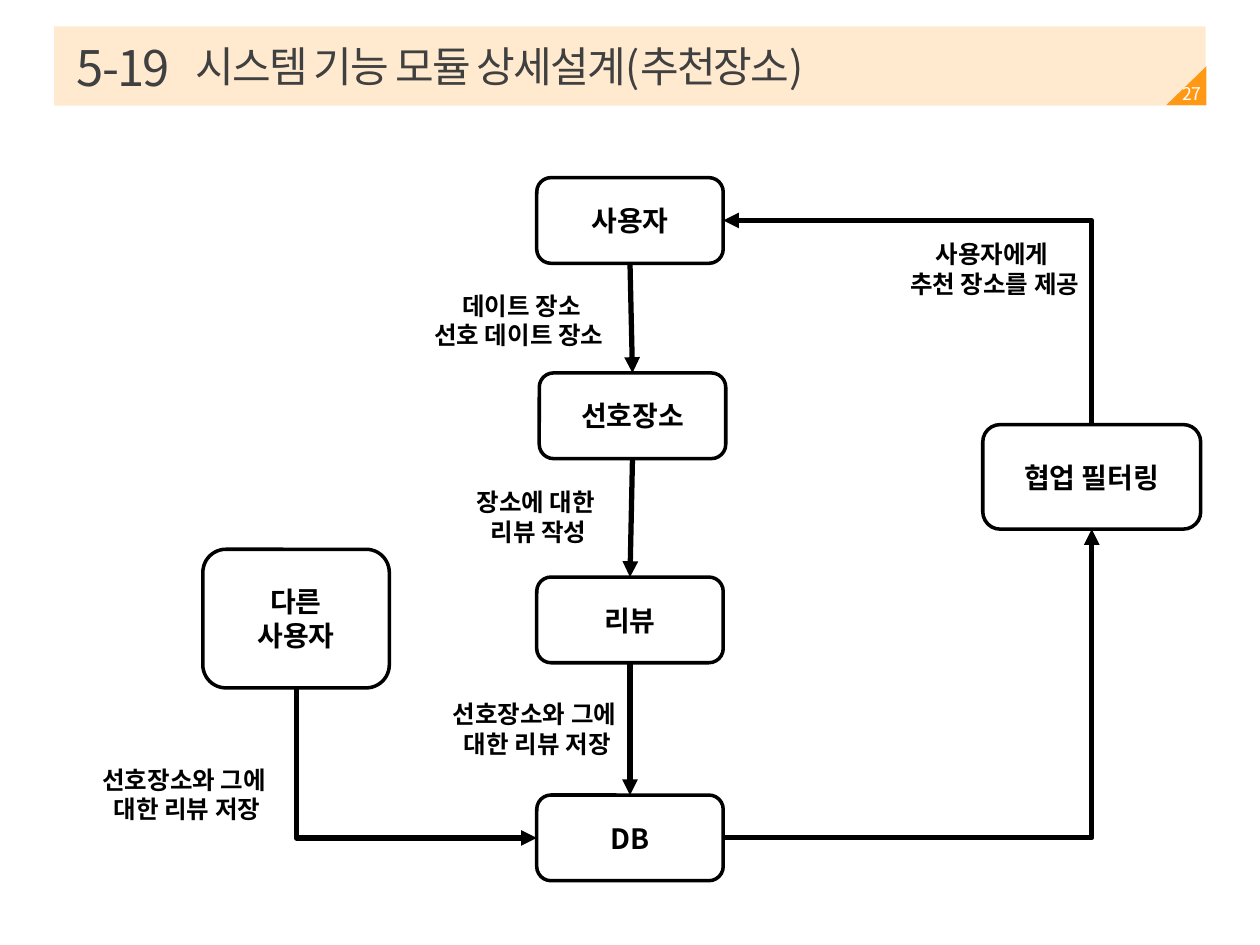
from lxml.etree import SubElement
from pptx import Presentation
from pptx.dml.color import RGBColor
from pptx.enum.shapes import MSO_CONNECTOR, MSO_SHAPE
from pptx.enum.text import MSO_ANCHOR, MSO_AUTO_SIZE, PP_ALIGN
from pptx.oxml.ns import qn
from pptx.util import Inches, Pt

COLORS = {"accent": "FF9915", "heading": "404040", "ink": "000000", "paper": "FFFFFF"}
FONT = "Noto Sans CJK KR"
COLUMNS, ROWS = 100, 75
CELL = Inches(10) / COLUMNS
TOP, LEFT, BOTTOM, RIGHT = range(4)

# Boxes are left, top, width, height in grid cells.
HEADER = (4.3, 2.1, 91.4, 6.3)
STEPS = {
    "user": ("사용자", (42.6, 14.1, 14.8, 6.8)),
    "favorite": ("선호장소", (42.8, 29.6, 14.8, 6.8)),
    "review": ("리뷰", (42.6, 45.8, 14.8, 6.8)),
    "database": ("DB", (42.6, 63.1, 14.8, 6.8)),
    "others": ("다른\n사용자", (16.1, 43.6, 14.8, 11)),
    "filtering": ("협업 필터링", (78, 33.7, 17.3, 8.3)),
}
LINKS = [
    ("user", BOTTOM, "favorite", TOP),
    ("favorite", BOTTOM, "review", TOP),
    ("review", BOTTOM, "database", TOP),
    ("others", BOTTOM, "database", LEFT),
    ("database", RIGHT, "filtering", BOTTOM),
    ("filtering", TOP, "user", RIGHT),
]
LABELS = [
    ("데이트 장소\n선호 데이트 장소 ", (32.9, 22.6, 17, 5.7)),
    ("장소에 대한 \n리뷰 작성", (35.9, 38.2, 13.7, 5.7)),
    ("선호장소와 그에 \n대한 리뷰 저장", (34.6, 55, 16.1, 5.7)),
    ("선호장소와 그에 \n대한 리뷰 저장", (6.8, 60.2, 16.1, 5.7)),
    ("사용자에게 \n추천 장소를 제공", (70.9, 18.5, 16.1, 5.7)),
]


def place(box):
    return [round(cells * CELL) for cells in box]


def color(name):
    return RGBColor.from_string(COLORS[name])


def write(shape, text, size, ink="ink", bold=False, align=PP_ALIGN.CENTER,
          anchor=MSO_ANCHOR.MIDDLE, wrap=True, spacing=None):
    frame = shape.text_frame
    frame.text = text
    frame_format = {"word_wrap": wrap, "auto_size": MSO_AUTO_SIZE.NONE,
                    "vertical_anchor": anchor}
    for name, value in frame_format.items():
        setattr(frame, name, value)
    for para in frame.paragraphs:
        para.alignment = align
        for span in para.runs:
            for name, value in {"size": Pt(size), "bold": bold, "name": FONT}.items():
                setattr(span.font, name, value)
            span.font.color.rgb = color(ink)
            properties = span.font._element
            SubElement(properties, qn("a:ea")).set("typeface", FONT)
            if spacing is not None:
                properties.set("spc", str(spacing * 100))


def add_shape(page, kind, box, fill, line=None):
    shape = page.shapes.add_shape(kind, *place(box))
    shape.shadow.inherit = False
    shape.fill.solid()
    shape.fill.fore_color.rgb = color(fill)
    if line:
        shape.line.color.rgb = color(line)
        shape.line.width = Pt(2)
    else:
        shape.line.fill.background()
    return shape


def add_header(page, box, number, heading, page_number):
    left, top, width, height = box
    right, bottom = left + width, top + height
    band = add_shape(page, MSO_SHAPE.RECTANGLE, box, "accent")
    tint = band._element.spPr.find(".//" + qn("a:srgbClr"))
    SubElement(tint, qn("a:alpha")).set("val", "20000")
    corner = add_shape(page, MSO_SHAPE.RIGHT_TRIANGLE,
                       (right - 3.1, bottom - 3.2, 3.1, 3.2), "accent")
    corner.rotation = 270

    title, body = page.placeholders
    for shape, text, size, spot in (
        (title, heading, 24, (left + 10.2, top + 0.4, 68.5, 5.5)),
        (body, number, 28, (left + 0.8, top + 0.5, 10.2, 5.5)),
    ):
        shape.left, shape.top, shape.width, shape.height = place(spot)
        write(shape, text, size, "heading", align=PP_ALIGN.LEFT, spacing=-1)
        page.shapes._spTree.append(shape._element)  # in front of the band
    bullet = body.text_frame.paragraphs[0]._p.get_or_add_pPr()
    bullet.set("marL", "0")
    bullet.set("indent", "0")
    SubElement(bullet, qn("a:buNone"))

    badge = page.shapes.add_textbox(*place((right - 3, bottom - 2.4, 3.8, 2.9)))
    write(badge, page_number, 10, "paper")


def bend_once(line, starts_upright):
    """Turn an elbow with two bends into one with a single corner."""
    line._element.spPr.find(qn("a:prstGeom")).set("prst", "bentConnector2")
    if not starts_upright:
        return
    goes_down = line.end_y > line.begin_y
    goes_left = line.end_x < line.begin_x
    width, height = line.width, line.height
    line.left += (width - height) // 2
    line.top += (height - width) // 2
    line.width, line.height = height, width
    frame = line._element.spPr.find(qn("a:xfrm"))
    frame.set("rot", str(270 * 60000))
    frame.set("flipH", str(int(goes_down)))
    frame.set("flipV", str(int(goes_left)))


def add_link(page, source, source_side, target, target_side):
    straight = (source_side, target_side) == (BOTTOM, TOP)
    kind = MSO_CONNECTOR.STRAIGHT if straight else MSO_CONNECTOR.ELBOW
    line = page.shapes.add_connector(kind, 0, 0, 0, 0)
    line.begin_connect(source, source_side)
    line.end_connect(target, target_side)
    if not straight:
        bend_once(line, source_side in (TOP, BOTTOM))
    line.line.color.rgb = color("ink")
    line.line.width = Pt(3)
    SubElement(line.line._get_or_add_ln(), qn("a:tailEnd")).set("type", "triangle")
    SubElement(line._element.spPr, qn("a:effectLst"))


def add_flow(page):
    steps = {}
    for name, (text, box) in STEPS.items():
        steps[name] = add_shape(page, MSO_SHAPE.ROUNDED_RECTANGLE, box, "paper", "ink")
        write(steps[name], text, 16, bold=True)
    for source, source_side, target, target_side in LINKS:
        add_link(page, steps[source], source_side, steps[target], target_side)
    for text, box in LABELS:
        label = page.shapes.add_textbox(*place(box))
        write(label, text, 14, bold=True, anchor=MSO_ANCHOR.TOP, wrap=False)


def main():
    deck = Presentation()
    deck.slide_width, deck.slide_height = place((COLUMNS, ROWS))
    page = deck.slides.add_slide(deck.slide_layouts[1])
    add_header(page, HEADER, "5-19", "시스템 기능 모듈 상세설계(추천장소)", "27")
    add_flow(page)
    deck.save("out.pptx")


if __name__ == "__main__":
    main()
